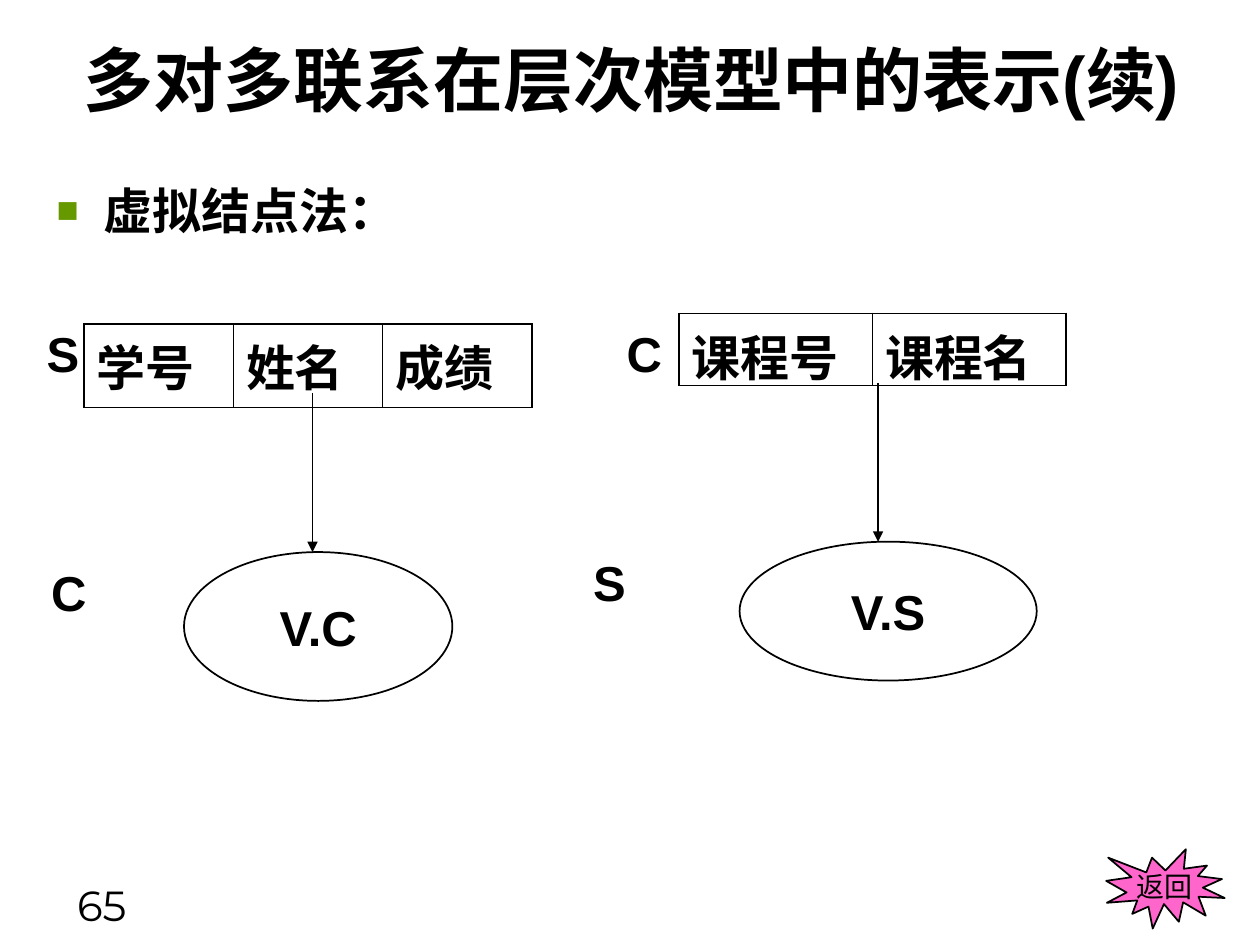
from dataclasses import dataclass

from lxml import etree
from pptx import Presentation
from pptx.dml.color import RGBColor
from pptx.enum.shapes import MSO_CONNECTOR, MSO_SHAPE
from pptx.enum.text import MSO_ANCHOR, MSO_AUTO_SIZE, PP_ALIGN
from pptx.oxml.ns import qn
from pptx.util import Cm, Pt

BLACK = RGBColor(0x00, 0x00, 0x00)
PINK = RGBColor(0xFF, 0x66, 0xCC)
GREEN = RGBColor(0x66, 0x99, 0x00)
OVAL, BURST = MSO_SHAPE.OVAL, MSO_SHAPE.EXPLOSION1
STRAIGHT = MSO_CONNECTOR.STRAIGHT
LEFT, CENTER, RIGHT = PP_ALIGN.LEFT, PP_ALIGN.CENTER, PP_ALIGN.RIGHT
JUSTIFY = PP_ALIGN.JUSTIFY
TOP, MIDDLE = MSO_ANCHOR.TOP, MSO_ANCHOR.MIDDLE
FIXED = MSO_AUTO_SIZE.NONE
OUTER, INNER = Pt(1.08), Pt(0.45)


@dataclass
class Box:
    """Left, top, width and height in centimetres."""
    x: float
    y: float
    w: float
    h: float

    def size(self) -> tuple:
        return Cm(self.x), Cm(self.y), Cm(self.w), Cm(self.h)


@dataclass
class Label:
    text: str
    box: Box


@dataclass
class Tree:
    """A record, its arrow and the virtual node below."""
    fields: list[str]
    record: Box
    stem: float
    start: float
    node: Label
    tags: list[Label]


TREES = [
    Tree(["学号", "姓名", "成绩"], Box(1.7, 6.53, 9.02, 1.45), 6.3, 7.92,
         Label("V.C", Box(3.71, 11.13, 5.41, 3.0)),
         [Label("S", Box(0.69, 6.53, 0.99, 1.19)),
          Label("C", Box(0.69, 11.33, 1.4, 1.19))]),
    Tree(["课程号", "课程名"], Box(13.69, 6.32, 7.8, 1.45), 17.7, 7.72,
         Label("V.S", Box(14.91, 10.92, 5.99, 2.8)),
         [Label("C", Box(12.29, 6.53, 1.4, 1.19)),
          Label("S", Box(11.71, 11.13, 0.99, 1.19))]),
]


def write(frame, text: str, size: float, align=CENTER, bold: bool = True,
          face: str = "Arial"):
    para = frame.paragraphs[0]
    para.alignment = align
    run = para.add_run()
    run.text = text
    font = run.font
    font.name, font.size, font.bold = face, Pt(size), bold
    font.color.rgb = BLACK
    return para


def place(shape, box: Box) -> None:
    shape.left, shape.top, shape.width, shape.height = box.size()
    shape.text_frame.auto_size = FIXED


def add_tag(slide, tag: Label) -> None:
    frame = slide.shapes.add_textbox(*tag.box.size()).text_frame
    frame.word_wrap = False
    frame.vertical_anchor = MIDDLE
    write(frame, tag.text, 28)


def add_node(slide, kind, node: Label, size: float = 28, bold: bool = True,
             fill: RGBColor | None = None) -> None:
    shape = slide.shapes.add_shape(kind, *node.box.size())
    shape.shadow.inherit = False
    if fill is None:
        shape.fill.background()
    else:
        shape.fill.solid()
        shape.fill.fore_color.rgb = fill
    shape.line.color.rgb = BLACK
    shape.line.width = Pt(1)
    shape.text_frame.word_wrap = False
    shape.text_frame.vertical_anchor = MIDDLE
    write(shape.text_frame, node.text, size, bold=bold)


def add_arrow(slide, x: float, top: float, end: float) -> None:
    line = slide.shapes.add_connector(STRAIGHT, Cm(x), Cm(top), Cm(x), Cm(end))
    line.line.color.rgb = BLACK
    line.line.width = Pt(1)
    etree.SubElement(line.line._get_or_add_ln(), qn("a:tailEnd"),
                     type="triangle")
    etree.SubElement(line._element.spPr, qn("a:effectLst"))


def add_edge(cell, side: str, width: int) -> None:
    edge = etree.SubElement(cell._tc.get_or_add_tcPr(), qn(f"a:ln{side}"),
                            w=str(int(width)))
    fill = etree.SubElement(edge, qn("a:solidFill"))
    etree.SubElement(fill, qn("a:srgbClr"), val=str(BLACK))


def add_record(slide, fields: list[str], box: Box) -> None:
    count = len(fields)
    table = slide.shapes.add_table(1, count, *box.size()).table
    table.first_row = table.horz_banding = False
    for i, field in enumerate(fields):
        table.columns[i].width = Cm(box.w / count)
        cell = table.cell(0, i)
        add_edge(cell, "L", INNER if i else OUTER)
        add_edge(cell, "R", INNER if i < count - 1 else OUTER)
        add_edge(cell, "T", OUTER)
        add_edge(cell, "B", OUTER)
        cell.fill.background()
        write(cell.text_frame, field, 28, LEFT)


def add_bullet(para) -> None:
    props = para._p.get_or_add_pPr()
    props.set("marL", str(Cm(0.95)))
    props.set("indent", str(-Cm(0.95)))
    color = etree.SubElement(props, qn("a:buClr"))
    etree.SubElement(color, qn("a:srgbClr"), val=str(GREEN))
    etree.SubElement(props, qn("a:buSzPct"), val="75000")
    etree.SubElement(props, qn("a:buChar"), char="■")


def main() -> None:
    deck = Presentation()
    deck.slide_width, deck.slide_height = Cm(25.4), Cm(19.05)
    slide = deck.slides.add_slide(deck.slide_layouts[1])

    title, body = slide.placeholders
    place(title, Box(1.3, 0, 22.86, 3.18))
    title.text_frame.vertical_anchor = MIDDLE
    write(title.text_frame, "多对多联系在层次模型中的表示(续)", 40)

    place(body, Box(0.89, 3.33, 20.4, 1.6))
    body.text_frame.vertical_anchor = TOP
    para = write(body.text_frame, "虚拟结点法：", 28, JUSTIFY)
    para.line_spacing = 1.15
    para.space_before = Pt(0)
    add_bullet(para)

    for tree in TREES:
        add_record(slide, tree.fields, tree.record)
        add_arrow(slide, tree.stem, tree.start, tree.node.box.y)
        add_node(slide, OVAL, tree.node)
        for tag in tree.tags:
            add_tag(slide, tag)

    back = Label("返回", Box(22.3, 17.12, 2.39, 1.6))
    add_node(slide, BURST, back, 16, False, PINK)

    number = slide.shapes.add_textbox(*Box(-0.1, 17.6, 2.9, 1.32).size())
    number.text_frame.word_wrap = True
    write(number.text_frame, "65", 24, RIGHT, False, "Montserrat")

    deck.save("out.pptx")


if __name__ == "__main__":
    main()
